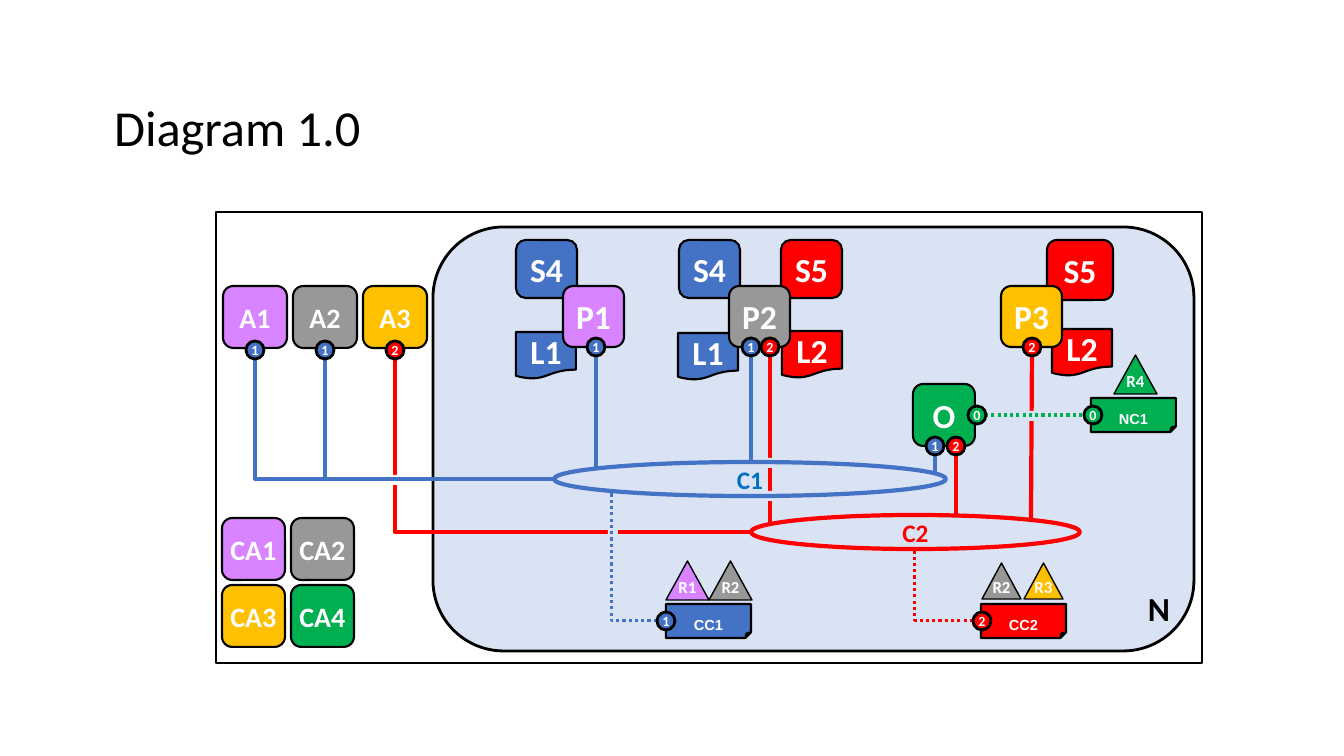
from dataclasses import dataclass

from lxml.etree import SubElement
from pptx import Presentation
from pptx.dml.color import RGBColor
from pptx.enum.dml import MSO_LINE
from pptx.enum.shapes import MSO_CONNECTOR as Link, MSO_SHAPE as Shape
from pptx.enum.text import MSO_ANCHOR as Anchor, PP_ALIGN as Align
from pptx.oxml.ns import qn
from pptx.util import Pt

SCALE = 914400 / 100.8


def emu(pixels):
    """Turn pixels into EMU."""
    return round(pixels * SCALE)


@dataclass(frozen=True)
class Theme:
    """Colours, fonts and type sizes of the diagram."""
    black: str = "000000"
    white: str = "FFFFFF"
    panel: str = "DAE3F3"
    blue: str = "4472C4"
    label_blue: str = "0070C0"
    red: str = "FF0000"
    green: str = "00B050"
    purple: str = "D883FF"
    grey: str = "989898"
    amber: str = "FFC000"
    font: str = "Calibri"
    card_font: str = "Arial"
    title: int = 36
    large: int = 24
    medium: int = 20
    label: int = 18
    small: int = 12
    tiny: int = 10


class Diagram:
    """Draws network elements on one slide in one theme."""

    def __init__(self, slide, theme):
        """Keep the slide and its theme."""
        self.slide = slide
        self.theme = theme

    def set_text(self, frame, text, size, color, bold=True, font=None,
                 align=Align.CENTER, insets=(5, 5, 5, 5)):
        """Put one formatted line into a text frame and return its run."""
        frame.text = text
        frame.margin_left, frame.margin_top, frame.margin_right, frame.margin_bottom = map(emu, insets)
        para = frame.paragraphs[0]
        para.alignment = align
        run = para.runs[0]
        run.font.name = font or self.theme.font
        run.font.size = Pt(size)
        run.font.bold = bold
        run.font.color.rgb = RGBColor.from_string(color)
        return run

    def title(self, text, left, top, width, height):
        """Move and format the title placeholder."""
        box = self.slide.shapes.title
        box.left, box.top, box.width, box.height = map(emu, (left, top, width, height))
        frame = box.text_frame
        self.set_text(frame, text, self.theme.title, self.theme.black, bold=False, align=Align.LEFT)
        frame.vertical_anchor = Anchor.MIDDLE
        frame.paragraphs[0].line_spacing = 0.9

    def caption(self, text, left, top, width, height):
        """Add a free-standing bold label."""
        box = self.slide.shapes.add_textbox(*map(emu, (left, top, width, height)))
        box.text_frame.word_wrap = True
        self.set_text(box.text_frame, text, self.theme.large, self.theme.black)

    def shape(self, kind, area, fill=None, line=None, weight=1.5):
        """Add a preset shape with optional fill and outline."""
        shape = self.slide.shapes.add_shape(kind, *map(emu, area))
        shape.shadow.inherit = False
        if fill:
            shape.fill.solid()
            shape.fill.fore_color.rgb = RGBColor.from_string(fill)
        else:
            shape.fill.background()
        if line:
            shape.line.color.rgb = RGBColor.from_string(line)
            shape.line.width = Pt(weight)
        else:
            shape.line.fill.background()
        return shape

    def node(self, text, area, fill, size=None, kind=Shape.ROUNDED_RECTANGLE, weight=1.5, **style):
        """Add a filled, black-edged shape with a white label."""
        shape = self.shape(kind, area, fill, self.theme.black, weight)
        frame = shape.text_frame
        frame.word_wrap = False
        frame.vertical_anchor = Anchor.MIDDLE
        return self.set_text(frame, text, size or self.theme.large, self.theme.white, **style)

    def document(self, text, left, top, fill):
        """Add a box with a wavy lower edge."""
        self.node(text, (left, top, 60, 47), fill, kind=Shape.FLOWCHART_DOCUMENT)

    def card(self, text, left, top, fill):
        """Add a folded card with a lowered label."""
        run = self.node(text, (left, top, 85, 34), fill, self.theme.label, Shape.FOLDED_CORNER,
                        font=self.theme.card_font, insets=(4, 5, 4, 8))
        run._r.get_or_add_rPr().set("baseline", "-25000")

    def triangle(self, text, left, top, width, height, fill):
        """Add a triangle with a small label."""
        self.node(text, (left, top, width, height), fill, self.theme.small,
                  Shape.ISOSCELES_TRIANGLE, 1, insets=(0, 5, 0, 12))

    def port(self, text, center_x, center_y, fill):
        """Add a numbered port around a centre point."""
        self.node(text, (center_x - 9, center_y - 9, 18, 18), fill, self.theme.tiny,
                  Shape.OVAL, 2, insets=(0, 0, 0, 0))

    def channel(self, text, area, line, color):
        """Add an open ellipse with a coloured label."""
        frame = self.shape(Shape.OVAL, area, line=line, weight=3).text_frame
        frame.vertical_anchor = Anchor.MIDDLE
        self.set_text(frame, text, self.theme.label, color)

    def wire(self, start, end, color, dotted=False):
        """Join two points, first down and then right where both differ."""
        bent = abs(start[0] - end[0]) > 1 and start[1] != end[1]
        kind = Link.ELBOW if bent else Link.STRAIGHT
        wire = self.slide.shapes.add_connector(kind, *map(emu, (*end, *start)))
        wire.line.color.rgb = RGBColor.from_string(color)
        wire.line.width = Pt(2.25 if dotted else 3)
        if dotted:
            wire.line.dash_style = MSO_LINE.ROUND_DOT
        properties = wire._element.spPr
        if bent:
            properties.find(qn("a:prstGeom")).set("prst", "bentConnector2")
        SubElement(properties, qn("a:effectLst"))


deck = Presentation()
deck.slide_width, deck.slide_height = emu(1344), emu(756)
theme = Theme()
diagram = Diagram(deck.slides.add_slide(deck.slide_layouts[5]), theme)

diagram.title("Diagram 1.0", 109, 57, 1159, 146)
diagram.shape(Shape.ROUNDED_RECTANGLE, (433, 227, 761, 424), theme.panel, theme.black, 2)
diagram.caption("N", 1137, 583, 44, 50)
diagram.shape(Shape.RECTANGLE, (216, 212, 986, 451), line=theme.black, weight=1)

# Wires that are crossed, the gaps at their crossings, then the wires on top
for start, end, color in [
    ((956, 455), (956, 515), theme.red), ((1032, 356), (1031, 520), theme.red),
    ((770, 356), (770, 524), theme.red), ((395, 359), (751, 532), theme.red),
    ((935, 455), (935, 473), theme.blue), ((751, 356), (751, 462), theme.blue),
    ((596, 356), (596, 470), theme.blue),
]:
    diagram.wire(start, end, color)
for left, top, fill in [
    (766, 458, theme.panel), (766, 491, theme.panel), (1027, 411, theme.panel),
    (608, 527, theme.panel), (390, 475, theme.white),
]:
    diagram.shape(Shape.RECTANGLE, (left, top, 10, 10), fill)
for center in (255, 325):
    diagram.wire((center, 359), (554, 479), theme.blue)
for start, end, color in [
    ((612, 491), (657, 621), theme.blue), ((915, 549), (973, 621), theme.red),
    ((968, 415), (1101, 415), theme.green),
]:
    diagram.wire(start, end, color, dotted=True)
diagram.channel("C2", (751, 515, 329, 34), theme.red, theme.red)
diagram.channel("C1", (554, 462, 392, 34), theme.blue, theme.label_blue)

for text, left, top, fill in [
    ("L1", 516, 332, theme.blue), ("L1", 678, 333, theme.blue),
    ("L2", 782, 331, theme.red), ("L2", 1052, 329, theme.red),
]:
    diagram.document(text, left, top, fill)
for text, area, fill in [
    ("S4", (516, 240, 61, 58), theme.blue), ("S4", (679, 240, 61, 58), theme.blue),
    ("S5", (781, 240, 61, 58), theme.red), ("S5", (1047, 240, 66, 60), theme.red),
    ("P1", (563, 286, 61, 61), theme.purple), ("P2", (729, 286, 61, 61), theme.grey),
    ("P3", (1001, 286, 61, 61), theme.amber), ("O", (913, 384, 62, 62), theme.green),
]:
    diagram.node(text, area, fill)

for index, fill in enumerate((theme.purple, theme.grey, theme.amber)):
    diagram.node(f"A{index + 1}", (223 + 70 * index, 286, 64, 62), fill, theme.medium)
for index, fill in enumerate((theme.purple, theme.grey, theme.amber, theme.green)):
    row, column = divmod(index, 2)
    diagram.node(f"CA{index + 1}", (222 + 69 * column, 518 + 67 * row, 63, 62), fill, theme.medium)

for text, left, top, fill in [
    ("CC1", 666, 604, theme.blue), ("CC2", 981, 604, theme.red), ("NC1", 1091, 398, theme.green),
]:
    diagram.card(text, left, top, fill)

port_colors = {"0": theme.green, "1": theme.blue, "2": theme.red}
for text, center_x, center_y in [
    ("1", 255, 350), ("1", 325, 350), ("2", 395, 350), ("1", 596, 347), ("1", 751, 347),
    ("2", 770, 347), ("2", 1032, 347), ("1", 935, 446), ("2", 956, 446), ("0", 977, 415),
    ("0", 1093, 415), ("1", 666, 621), ("2", 982, 621),
]:
    diagram.port(text, center_x, center_y, port_colors[text])

for text, left, top, width, height, fill in [
    ("R1", 666, 561, 43, 39, theme.purple), ("R2", 709, 561, 43, 39, theme.grey),
    ("R2", 982, 563, 39, 36, theme.grey), ("R3", 1024, 563, 39, 36, theme.amber),
    ("R4", 1114, 355, 43, 39, theme.green),
]:
    diagram.triangle(text, left, top, width, height, fill)

deck.save("out.pptx")
